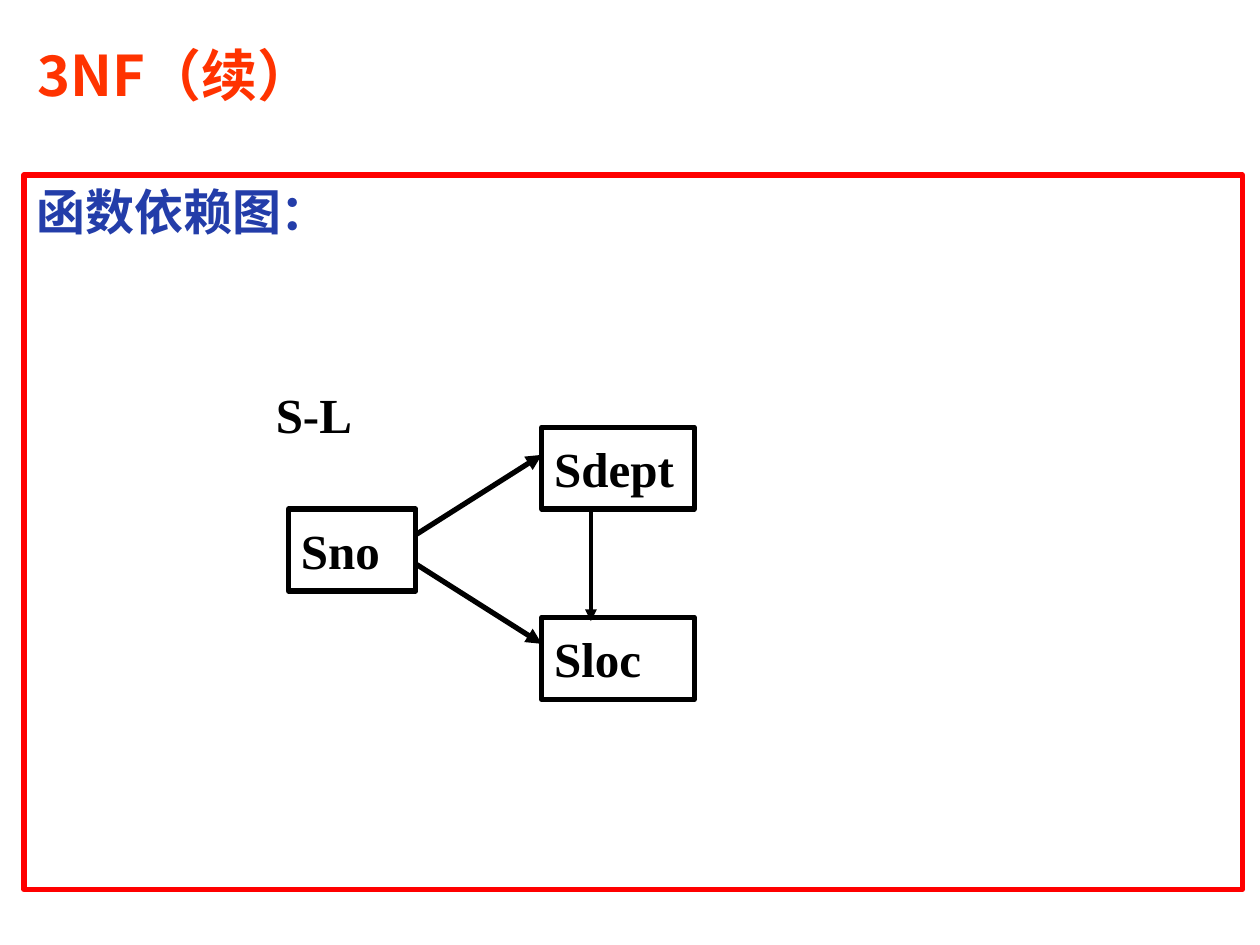
import pptx
import pptx.util
import pptx.dml.color
import pptx.enum.shapes
import pptx.enum.text
import pptx.oxml
import pptx.oxml.ns
from pptx.util import Inches

THEME = {
    "title": ("FF3300", 32, "Noto Sans CJK SC"),
    "body": ("233DA9", 28, "Arial"),
    "node": ("000000", 28, "Times New Roman"),
    "east_asian": "Noto Sans CJK SC",
    "frame": "FF0000",
    "ink": "000000",
}
ALIGN = pptx.enum.text.PP_ALIGN
ANCHOR = pptx.enum.text.MSO_ANCHOR
NS = pptx.oxml.ns.nsdecls("a")


def add_box(text, style, x, y, w, h, line=None, left=0.1, anchor=ANCHOR.MIDDLE):
    """Add a text box, or an outlined rectangle when a line colour is given."""
    at = Inches(x), Inches(y), Inches(w), Inches(h)
    if line:
        sp = s.shapes.add_shape(pptx.enum.shapes.MSO_SHAPE.RECTANGLE, *at)
        sp.shadow.inherit = False
        sp.fill.background()
        sp.line.color.rgb = pptx.dml.color.RGBColor.from_string(line)
        sp.line.width = pptx.util.Pt(3)
    else:
        sp = s.shapes.add_textbox(*at)
    tf = sp.text_frame
    tf.word_wrap = True
    tf.vertical_anchor = anchor
    tf.margin_left = Inches(left)
    p = tf.paragraphs[0]
    p.alignment = ALIGN.LEFT
    r = p.add_run()
    r.text = text
    color, size, name = THEME[style]
    r.font.size = pptx.util.Pt(size)
    r.font.bold = True
    r.font.color.rgb = pptx.dml.color.RGBColor.from_string(color)
    r.font.name = name
    if style != "node":
        r.font._element.append(pptx.oxml.parse_xml(
            f'<a:ea {NS} typeface="{THEME["east_asian"]}"/>'))


def add_arrow(x1, y1, x2, y2, width):
    c = s.shapes.add_connector(pptx.enum.shapes.MSO_CONNECTOR.STRAIGHT,
                               Inches(x1), Inches(y1), Inches(x2), Inches(y2))
    c.line.color.rgb = pptx.dml.color.RGBColor.from_string(THEME["ink"])
    c.line.width = pptx.util.Pt(width)
    c.line._get_or_add_ln().append(
        pptx.oxml.parse_xml(f'<a:tailEnd {NS} type="triangle"/>'))
    c._element.spPr.append(pptx.oxml.parse_xml(f"<a:effectLst {NS}/>"))


prs = pptx.Presentation()
prs.slide_width, prs.slide_height = Inches(10), Inches(7.5)
s = prs.slides.add_slide(prs.slide_layouts[6])

# Title and framed body
add_box("3NF（续）", "title", 0, 0.28, 8.08, 0.62, left=0.3)
add_box("函数依赖图：", "body", 0.19, 1.39, 9.67, 5.67,
        line=THEME["frame"], anchor=ANCHOR.TOP)

# Relation name and its attributes
add_box("S-L", "node", 2.09, 2.96, 1.21, 0.65)
for text, x, y, w in [("Sno", 2.29, 4.04, 1.01),
                      ("Sdept", 4.3, 3.39, 1.21),
                      ("Sloc", 4.3, 4.9, 1.21)]:
    add_box(text, "node", x, y, w, 0.65, line=THEME["ink"])

# Functional dependencies
for x1, y1, x2, y2, width in [(3.29, 4.25, 4.3, 3.61, 3),
                              (3.29, 4.47, 4.3, 5.11, 3),
                              (4.69, 4.06, 4.69, 4.93, 2.25)]:
    add_arrow(x1, y1, x2, y2, width)

prs.save("out.pptx")
